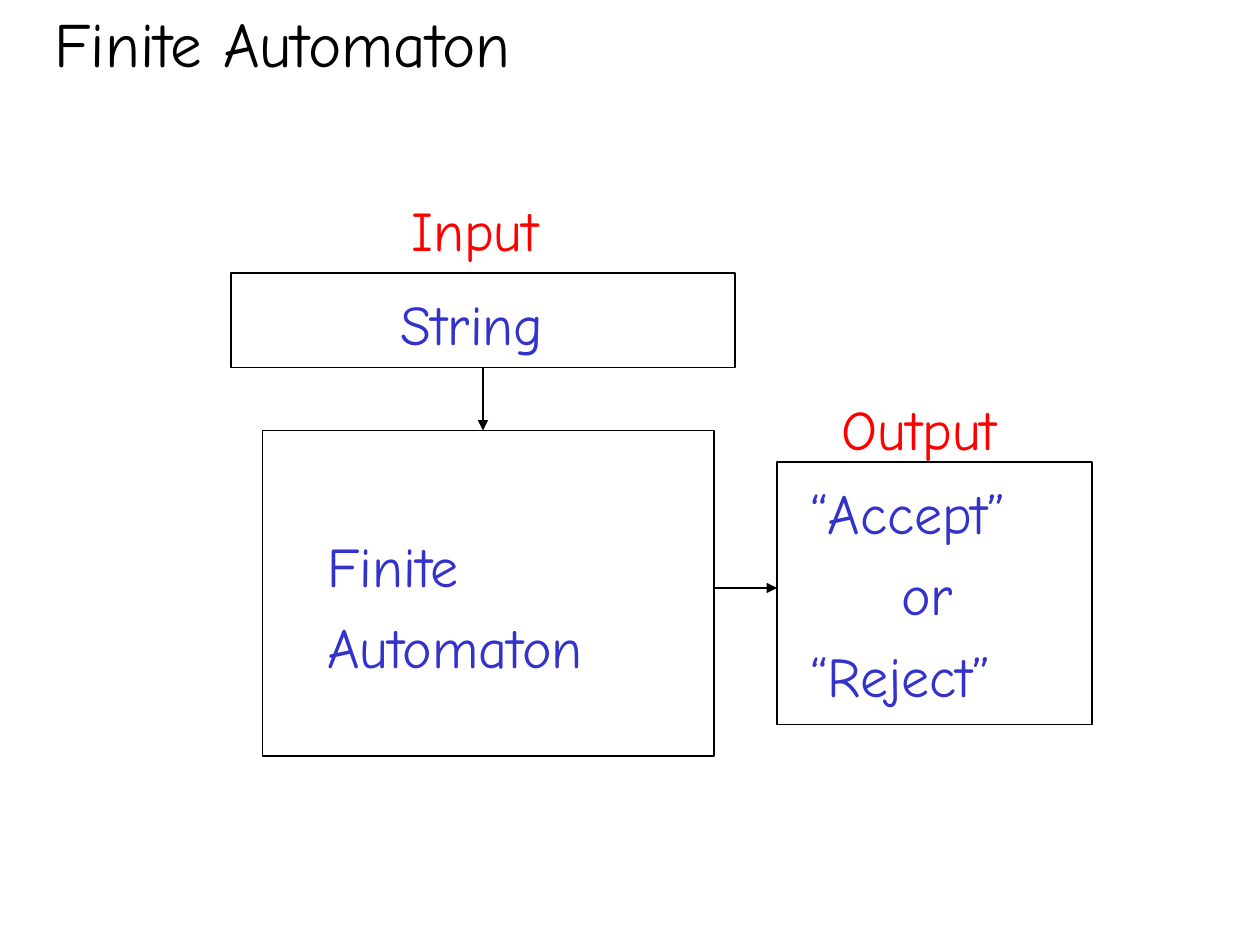
import pptx
import pptx.util
import pptx.dml.color
import pptx.enum.shapes
import pptx.enum.text
import pptx.oxml
import pptx.oxml.ns

BLACK = pptx.dml.color.RGBColor(0x00, 0x00, 0x00)
RED = pptx.dml.color.RGBColor(0xFF, 0x00, 0x00)
BLUE = pptx.dml.color.RGBColor(0x33, 0x33, 0xCC)
FONT = "Comic Neue"
COLS, ROWS = 120, 90

prs = pptx.Presentation()
prs.slide_width = pptx.util.Inches(10)
prs.slide_height = pptx.util.Inches(7.5)
slide = prs.slides.add_slide(prs.slide_layouts[5])


def grid(x, y, *rest):
    units = (prs.slide_width / COLS, prs.slide_height / ROWS)
    return [round(n * units[i % 2]) for i, n in enumerate((x, y) + rest)]


def add_line(p, text, size, color):
    r = p.add_run()
    r.text = text
    values = {"name": FONT, "size": pptx.util.Pt(size), "bold": False}
    for key, value in values.items():
        setattr(r.font, key, value)
    r.font.color.rgb = color


title = slide.shapes.title
for key, value in zip(("left", "top", "width", "height"), grid(4, 0, 116, 8)):
    setattr(title, key, value)
tf = title.text_frame
tf.vertical_anchor = pptx.enum.text.MSO_ANCHOR.MIDDLE
tf.auto_size = pptx.enum.text.MSO_AUTO_SIZE.NONE
tf.paragraphs[0].alignment = pptx.enum.text.PP_ALIGN.LEFT
add_line(tf.paragraphs[0], "Finite Automaton", 36, BLACK)

boxes = [(25, 41, 43, 31), (22, 26, 48, 9), (74, 44, 30, 25)]
for box in boxes:
    sp = slide.shapes.add_shape(
        pptx.enum.shapes.MSO_SHAPE.RECTANGLE, *grid(*box))
    sp.shadow.inherit = False
    sp.fill.background()
    sp.line.color.rgb = BLACK
    sp.line.width = pptx.util.Pt(0.75)

arrows = [(46, 35, 46, 41), (68, 56, 74, 56)]
for arrow in arrows:
    sp = slide.shapes.add_connector(
        pptx.enum.shapes.MSO_CONNECTOR.STRAIGHT, *grid(*arrow))
    sp.line.color.rgb = BLACK
    sp.line.width = pptx.util.Pt(0.75)
    ln = sp.line._get_or_add_ln()
    ln.append(pptx.oxml.parse_xml(
        f'<a:tailEnd {pptx.oxml.ns.nsdecls("a")} type="triangle"/>'))
    sp._element.spPr.append(pptx.oxml.parse_xml(
        f'<a:effectLst {pptx.oxml.ns.nsdecls("a")}/>'))

labels = [
    ((38, 18, 16.3, 7.6), RED, [("Input", 0)]),
    ((37, 27, 18.4, 7.6), BLUE, [("String", 0)]),
    ((30, 50, 29.4, 15.2), BLUE, [("Finite", 0), ("Automaton", 0)]),
    ((79, 37, 20.2, 7.6), RED, [("Output", 0)]),
    ((76, 45, 24.4, 22.9), BLUE,
     [("“Accept”", 0), ("or", 0.72), ("“Reject”", 0)]),
]
for place, color, lines in labels:
    tf = slide.shapes.add_textbox(*grid(*place)).text_frame
    tf.word_wrap = False
    tf.auto_size = pptx.enum.text.MSO_AUTO_SIZE.SHAPE_TO_FIT_TEXT
    for i, (text, indent) in enumerate(lines):
        p = tf.add_paragraph() if i else tf.paragraphs[0]
        p.alignment = pptx.enum.text.PP_ALIGN.LEFT
        p.space_before = pptx.util.Pt(8)
        if indent:
            p._p.get_or_add_pPr().set("marL", str(pptx.util.Inches(indent)))
        add_line(p, text, 32, color)

prs.save("out.pptx")
